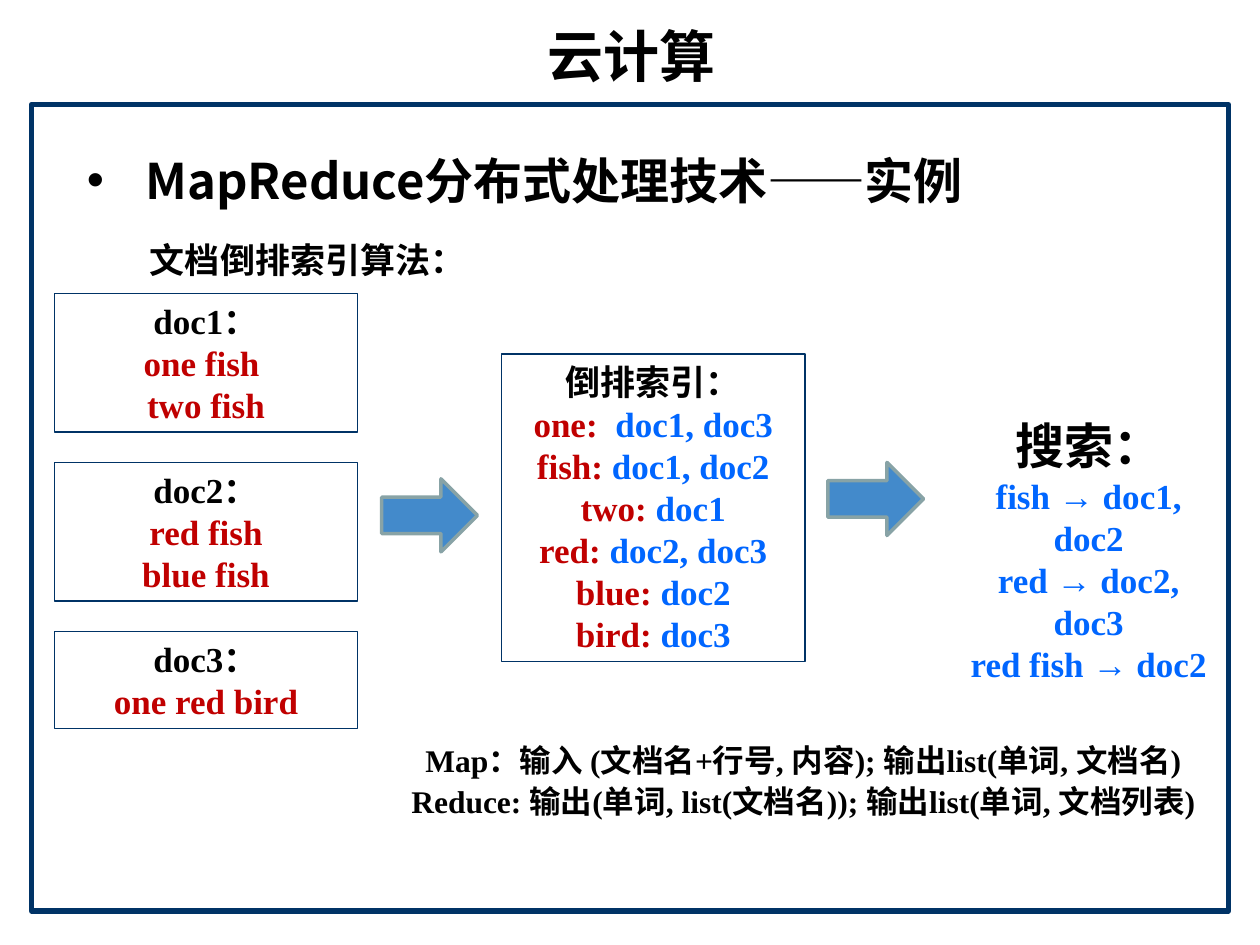
from lxml import etree
from pptx import Presentation
from pptx.dml.color import RGBColor
from pptx.enum.shapes import MSO_SHAPE
from pptx.enum.text import MSO_ANCHOR, MSO_AUTO_SIZE, PP_ALIGN
from pptx.oxml.ns import qn
from pptx.util import Inches, Pt

RECT, ARROW = MSO_SHAPE.RECTANGLE, MSO_SHAPE.RIGHT_ARROW
TOP, MIDDLE = MSO_ANCHOR.TOP, MSO_ANCHOR.MIDDLE
FIT, FIXED = MSO_AUTO_SIZE.SHAPE_TO_FIT_TEXT, MSO_AUTO_SIZE.NONE
CENTER, LEFT = PP_ALIGN.CENTER, PP_ALIGN.LEFT

COLORS = {"black": "000000", "white": "FFFFFF", "navy": "003366", "red": "C00000",
          "blue": "0066FF", "arrow": "438ACB", "edge": "88A3A6"}
SERIF, HAN, SANS, SIGN = "Times New Roman", "Noto Sans CJK SC", "DejaVu Sans", "Arial"


def color(name):
    return RGBColor.from_string(COLORS[name])


class Deck:
    def __init__(self):
        self.prs = Presentation()
        self.prs.slide_width, self.prs.slide_height = Inches(10), Inches(7.5)
        self.slide = self.prs.slides.add_slide(self.prs.slide_layouts[1])
        self.shapes = self.slide.shapes

    def place(self, shape, at):
        shape.left, shape.top, shape.width, shape.height = map(Inches, at)

    def run(self, para, text, hue="black", font=SERIF, size=20, bold=True):
        run = para.add_run()
        run.text = text
        face = run.font
        face.name, face.size, face.bold = font, Pt(size), bold
        face.color.rgb = color(hue)
        east = etree.SubElement(run._r.rPr, qn("a:ea"))
        east.set("typeface", HAN)

    def fill(self, shape, lines, align=CENTER, space=1.0, anchor=TOP, size=FIT):
        """Write lines, each a list of runs, into a shape."""
        frame = shape.text_frame
        frame.word_wrap, frame.auto_size = True, size
        frame.vertical_anchor = anchor
        for i, line in enumerate(lines):
            para = frame.add_paragraph() if i else frame.paragraphs[0]
            para.alignment, para.line_spacing = align, space
            para.space_before = Pt(0)
            for item in line:
                self.run(para, *item)
        return frame.paragraphs

    def title(self, at, text):
        shape = self.shapes.title
        self.place(shape, at)
        self.fill(shape, [[(text, "black", SANS, 32)]], anchor=MIDDLE, size=FIXED)

    def body(self, at, lines):
        shape = self.slide.placeholders[1]
        self.place(shape, at)
        return self.fill(shape, lines, LEFT, 1.5, size=FIXED)

    def bullet(self, para, left, hang, mark=None):
        props = para._p.get_or_add_pPr()
        props.set("marL", str(Inches(left)))
        props.set("indent", str(Inches(hang)))
        if mark:
            etree.SubElement(props, qn("a:buFont")).set("typeface", SIGN)
            etree.SubElement(props, qn("a:buChar")).set("char", mark)
        else:
            etree.SubElement(props, qn("a:buNone"))

    def shape(self, kind, at, fill, line, width):
        shape = self.shapes.add_shape(kind, *map(Inches, at))
        shape.shadow.inherit = False
        if fill:
            shape.fill.solid()
            shape.fill.fore_color.rgb = color(fill)
        else:
            shape.fill.background()
        shape.line.color.rgb, shape.line.width = color(line), Pt(width)
        return shape

    def frame(self, at):
        shape = self.shape(RECT, at, "white", "navy", 3)
        self.shapes._spTree.insert(2, shape._element)  # behind the placeholders

    def box(self, at, lines):
        self.fill(self.shape(RECT, at, None, "navy", 0.75), lines)

    def arrow(self, left, top):
        self.shape(ARROW, (left, top, 0.76, 0.58), "arrow", "edge", 2)

    def text(self, at, lines, space=1.0):
        return self.fill(self.shapes.add_textbox(*map(Inches, at)), lines, space=space)


def main():
    deck = Deck()

    # Frame, title and heading list
    deck.frame((0.25, 0.83, 9.5, 6.4))
    deck.title((0.27, 0.13, 9.48, 0.62), "云计算")
    head, sub = deck.body((0.59, 0.91, 9, 5.99), [
        [(" ", "black", HAN, 28, False),
         ("MapReduce分布式处理技术——实例", "black", HAN, 28)],
        [("文档倒排索引算法：", "black", HAN)]])
    sub.space_before = Pt(5)
    deck.bullet(head, 0.38, -0.38, "•")
    deck.bullet(sub, 0.5, 0)

    # Search results
    finds = [("fish ", " doc1, doc2"), ("red ", " doc2, doc3"), ("red fish ", " doc2")]
    lines = [[(word, "blue"), ("→", "blue", SIGN), (docs, "blue")] for word, docs in finds]
    paras = deck.text((7.52, 3.2, 2.24, 2.28), [[("搜索：", "black", HAN, 28)]] + lines)
    paras[0].line_spacing = 1.1

    # Source documents
    docs = [("doc1：", "one fish ", "two fish"), ("doc2：", "red fish", "blue fish"),
            ("doc3：", "one red bird")]
    for i, (name, *words) in enumerate(docs):
        high = 0.1 + len(words) * 0.33 + 0.34
        deck.box((0.43, 2.33 + i * 1.34, 2.41, high),
                 [[(name,)]] + [[(word, "red")] for word in words])

    # Inverted index
    index = [("one:  ", "doc1, doc3"), ("fish: ", "doc1, doc2"), ("two: ", "doc1"),
             ("red: ", "doc2, doc3"), ("blue: ", "doc2"), ("bird: ", "doc3")]
    deck.box((3.98, 2.81, 2.41, 2.44), [[("倒排索引：", "black", HAN)]]
             + [[(word, "red"), (found, "blue")] for word, found in index])

    # Flow arrows
    deck.arrow(3.03, 3.8)
    deck.arrow(6.57, 3.67)

    # Map and Reduce signatures
    notes = ["Map：输入 (文档名+行号, 内容); 输出list(单词, 文档名)",
             "Reduce: 输出(单词, list(文档名)); 输出list(单词, 文档列表)"]
    deck.text((3.03, 5.8, 6.69, 1.42),
              [[(note, "black", SERIF, 18)] for note in notes], 1.1)

    deck.prs.save("out.pptx")


if __name__ == "__main__":
    main()
